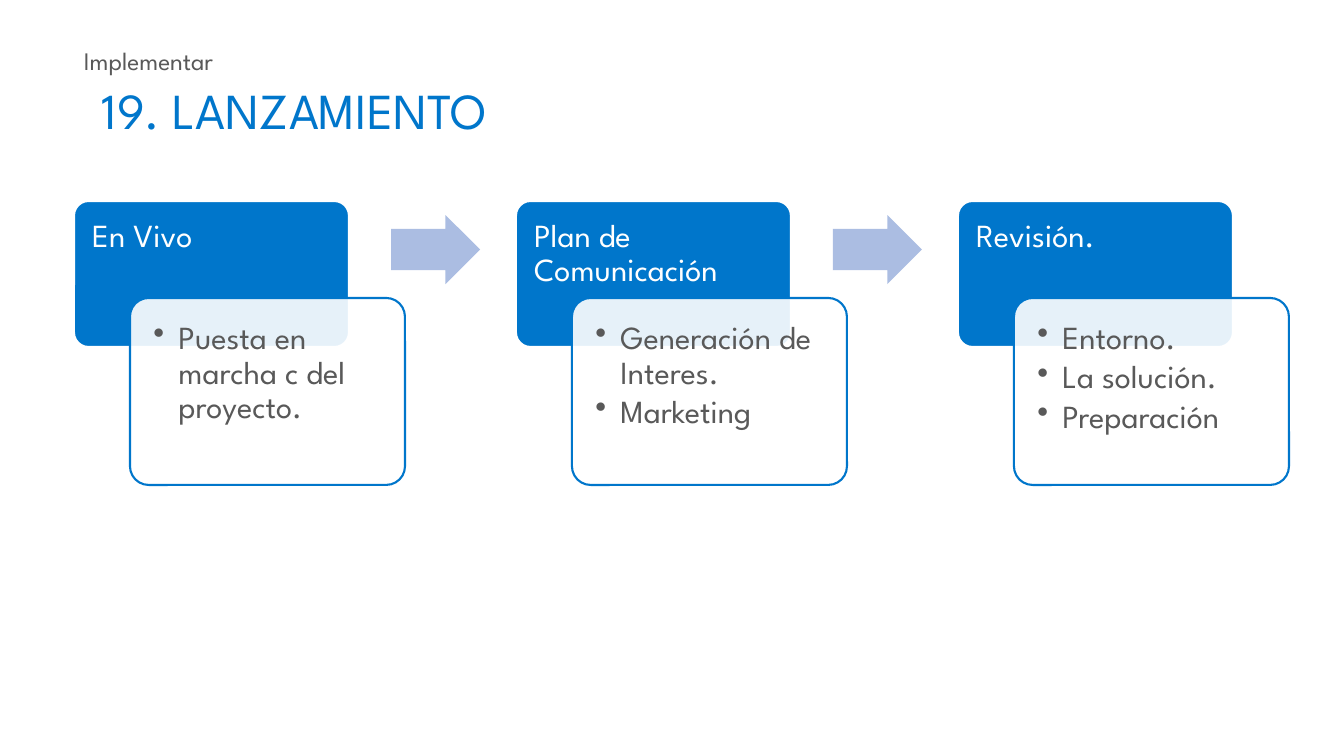
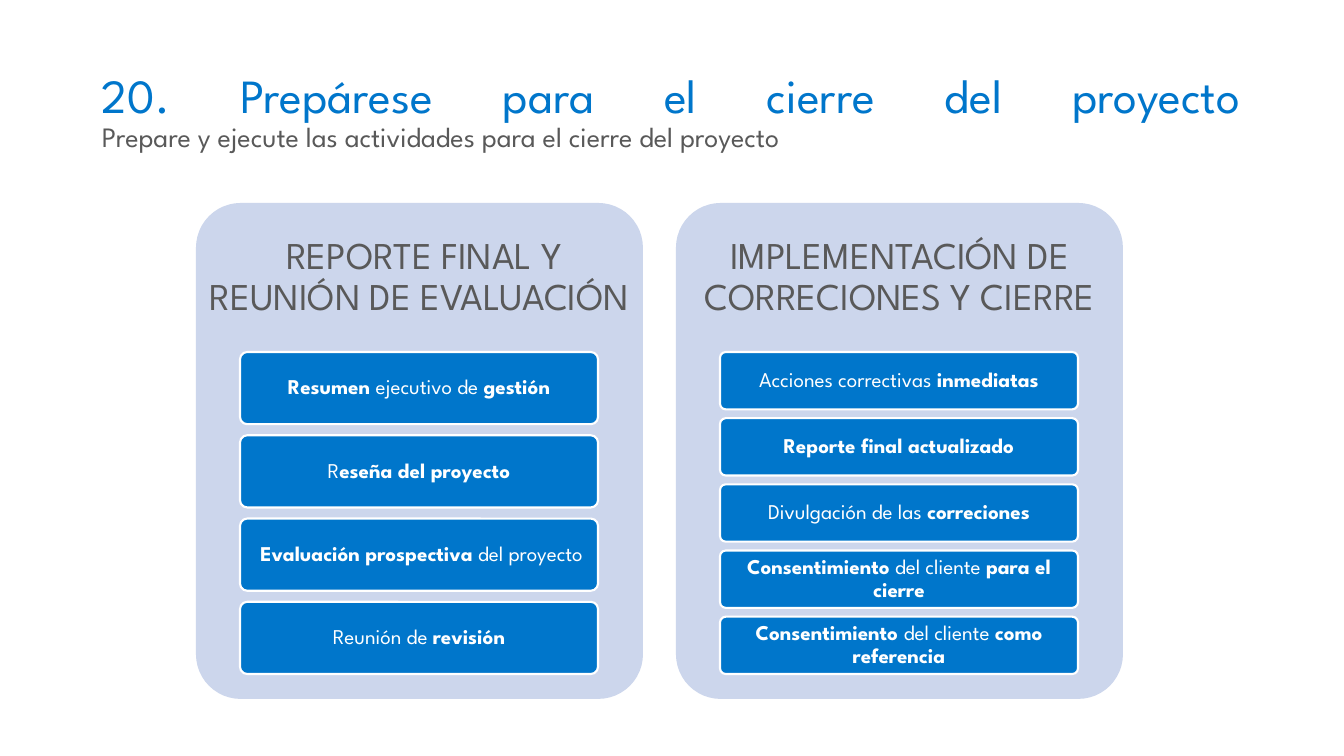
import lxml.etree
import pptx
import pptx.dml.color
import pptx.enum.shapes
import pptx.enum.text
import pptx.oxml.ns
import pptx.util

RGB = pptx.dml.color.RGBColor
SHAPE = pptx.enum.shapes.MSO_SHAPE
ALIGN = pptx.enum.text.PP_ALIGN
ANCHOR = pptx.enum.text.MSO_ANCHOR
Pt = pptx.util.Pt
qn = pptx.oxml.ns.qn

FONT = "League Spartan"
BLUE = RGB(0x00, 0x76, 0xCB)
GREY = RGB(0x59, 0x59, 0x59)
WHITE = RGB(0xFF, 0xFF, 0xFF)
ARROW_BLUE = RGB(0xAB, 0xBD, 0xE2)
PANEL_BLUE = RGB(0xCC, 0xD6, 0xEC)
PX_PER_INCH = 100.8
TITLE_BOX = (92, 40, 1159, 146)


def px(*lengths):
    return [pptx.util.Inches(n / PX_PER_INCH) for n in lengths]


def add_block(s, box, paragraphs=(), size=18, color=GREY, insets=(10, 5, 10, 5),
              align=ALIGN.LEFT, anchor=ANCHOR.TOP, spacing=0.9,
              kind=None, adjust=(0.1,), fill=None, line=None):
    """Add a text box, or a filled shape if kind is given; *stars* mark bold text."""
    if kind is None:
        sp = s.shapes.add_textbox(*px(*box))
    else:
        sp = s.shapes.add_shape(kind, *px(*box))
        sp.shadow.inherit = False
        for i, value in enumerate(adjust):
            sp.adjustments[i] = value
        sp.fill.solid()
        sp.fill.fore_color.rgb = fill
        if line is None:
            sp.line.fill.background()
        else:
            sp.line.color.rgb = line
            sp.line.width = Pt(1.5)
    tf = sp.text_frame
    tf.word_wrap = True
    tf.vertical_anchor = anchor
    tf.margin_left, tf.margin_top, tf.margin_right, tf.margin_bottom = px(*insets)
    for i, text in enumerate(paragraphs):
        p = tf.paragraphs[0] if i == 0 else tf.add_paragraph()
        p.alignment = align
        p.line_spacing = spacing
        p.font.name = FONT
        p.font.size = Pt(size)
        p.font.color.rgb = color
        for j, part in enumerate(text.split("*")):
            if part:
                r = p.add_run()
                r.text = part
                if j % 2:
                    r.font.bold = True
    return sp


prs = pptx.Presentation()
prs.slide_width, prs.slide_height = px(1344, 756)
blank = prs.slide_layouts[6]

# Slide 1: launch steps
s = prs.slides.add_slide(blank)
add_block(s, TITLE_BOX, ["19. LANZAMIENTO"], 36, BLUE, anchor=ANCHOR.MIDDLE)
add_block(s, (74, 40, 387, 40), ["Implementar"], spacing=1.0)

STEPS = [
    ("En Vivo", ["Puesta en marcha c del proyecto."]),
    ("Plan de Comunicación", ["Generación de Interes.", "Marketing"]),
    ("Revisión.", ["Entorno.", "La solución.", "Preparación"]),
]
STEP_PITCH = 442
for i, (heading, details) in enumerate(STEPS):
    x = 74 + i * STEP_PITCH
    add_block(s, (x, 201, 275, 146), [heading], 23, WHITE, (14, 14, 14, 10),
              kind=SHAPE.ROUNDED_RECTANGLE, fill=BLUE, line=WHITE)
    sp = add_block(s, (x + 56, 298, 275, 187), details, 23, GREY, (18, 18, 18, 18),
                   kind=SHAPE.ROUNDED_RECTANGLE, fill=WHITE, line=BLUE)
    fill_color = sp.fill._xPr.find(qn("a:solidFill"))[0]
    lxml.etree.SubElement(fill_color, qn("a:alpha"), val="90000")
    for p in sp.text_frame.paragraphs:
        p.space_after = Pt(3.5)
        pPr = p._p.get_or_add_pPr()
        indent = px(25)[0]
        pPr.set("marL", str(indent))
        pPr.set("indent", str(-indent))
        bullet = pPr.makeelement(qn("a:buChar"), {"char": "•"})
        pPr.find(qn("a:defRPr")).addprevious(bullet)
    if i < len(STEPS) - 1:
        add_block(s, (x + 317, 215, 89, 69), kind=SHAPE.RIGHT_ARROW,
                  adjust=(0.6, 0.5), fill=ARROW_BLUE)

# Slide 2: project closing
s = prs.slides.add_slide(blank)
sp = add_block(s, TITLE_BOX, ["20. Prepárese para el cierre del proyecto"], 34, BLUE,
               align=ALIGN.JUSTIFY, anchor=ANCHOR.MIDDLE)
p = sp.text_frame.paragraphs[0]
p.add_line_break()
r = p.add_run()
r.text = "Prepare y ejecute las actividades para el cierre del proyecto"
r.font.size = Pt(20)
r.font.color.rgb = GREY

PANELS = [
    (" REPORTE FINAL Y REUNIÓN DE EVALUACIÓN", [
        "*Resumen *ejecutivo de *gestión*",
        "R*eseña del proyecto*",
        " *Evaluación prospectiva* del proyecto",
        "Reunión de *revisión*",
    ]),
    ("IMPLEMENTACIÓN DE CORRECIONES Y CIERRE", [
        "Acciones correctivas *inmediatas*",
        "*Reporte final actualizado*",
        "Divulgación de las *correciones*",
        "*Consentimiento* del cliente *para el cierre*",
        "*Consentimiento *del cliente *como referencia*",
    ]),
]
LIST_TOP, LIST_HEIGHT = 352, 322
ITEM_TO_GAP = 6.5
for i, (heading, items) in enumerate(PANELS):
    x = 196 + i * 480
    add_block(s, (x, 203, 447, 496), kind=SHAPE.ROUNDED_RECTANGLE, fill=PANEL_BLUE)
    add_block(s, (x, 203, 447, 149), [heading], 27, GREY, (11, 11, 11, 11),
              ALIGN.CENTER, ANCHOR.MIDDLE)
    gap = LIST_HEIGHT / (len(items) * (ITEM_TO_GAP + 1) - 1)
    height = ITEM_TO_GAP * gap
    for j, item in enumerate(items):
        add_block(s, (x + 44, LIST_TOP + j * (height + gap), 358, height), [item],
                  15, WHITE, (4, 3, 4, 3), ALIGN.CENTER, ANCHOR.MIDDLE,
                  kind=SHAPE.ROUNDED_RECTANGLE, fill=BLUE, line=WHITE)

prs.save("out.pptx")
